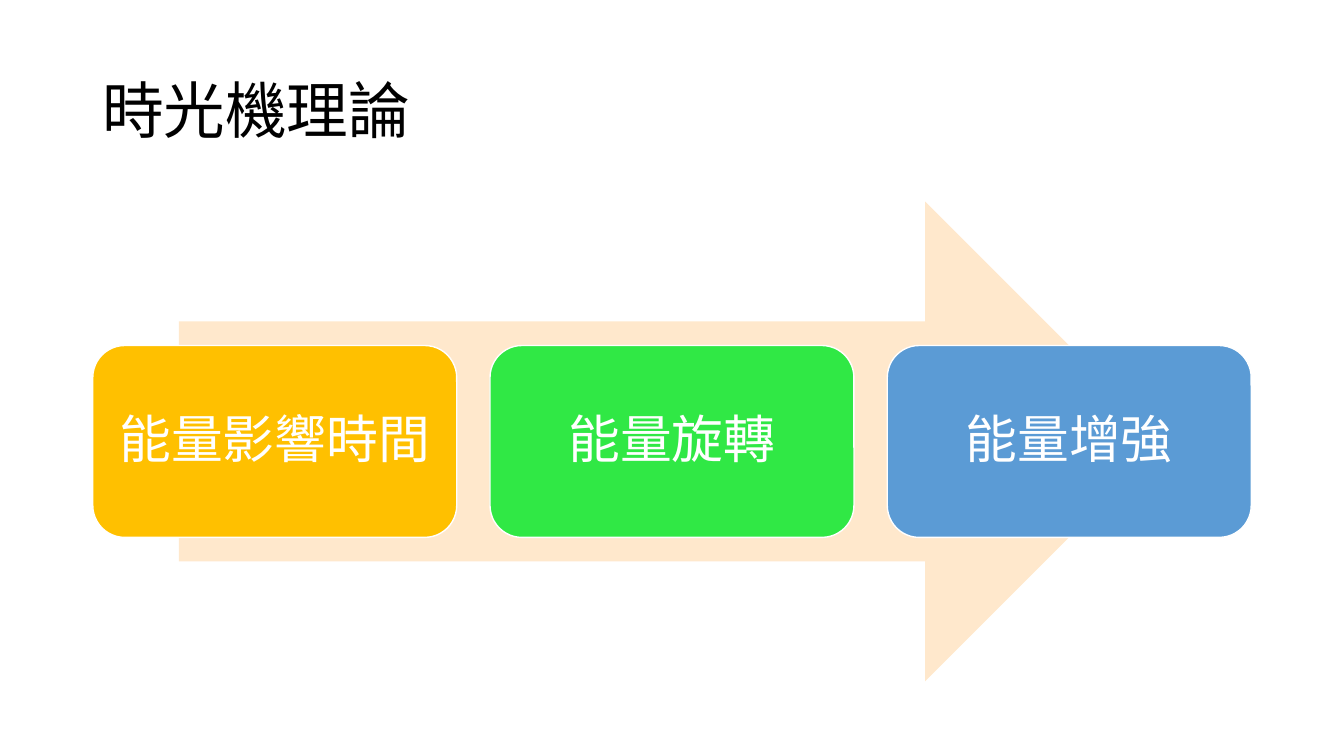
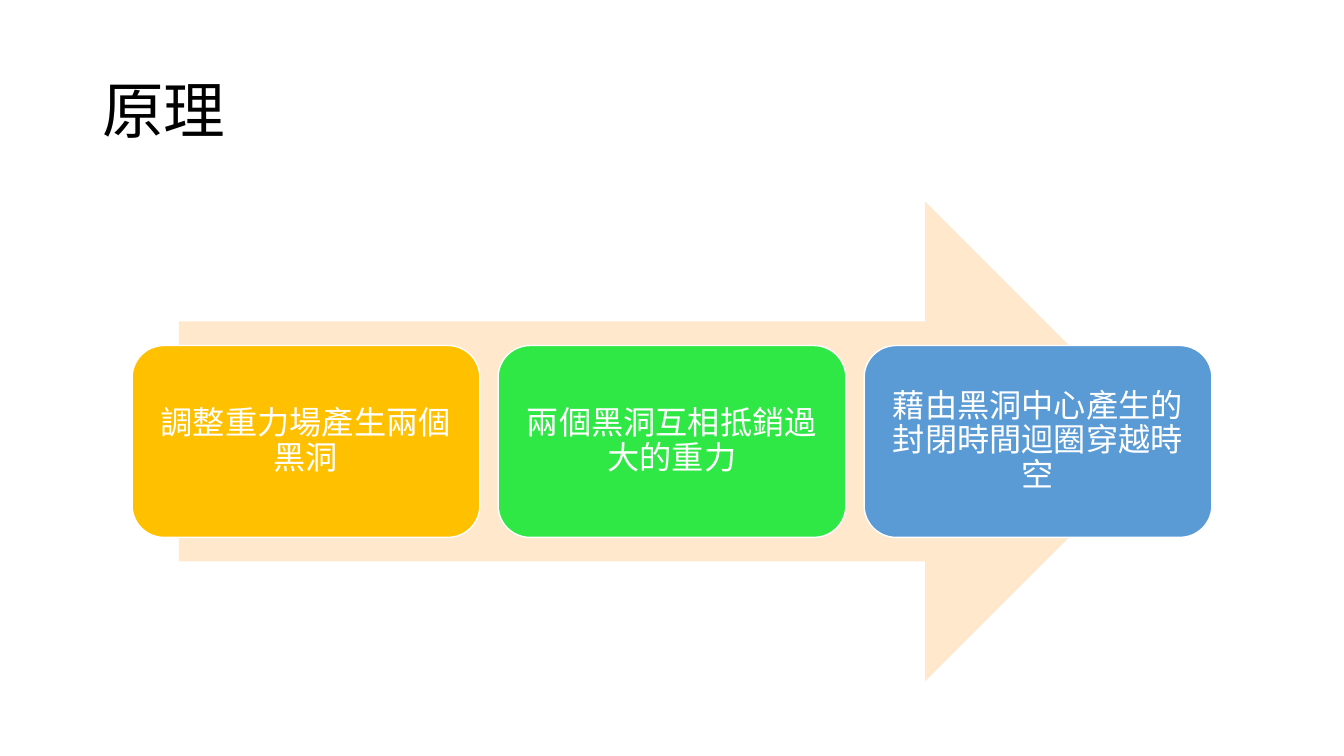
import pptx
import pptx.dml.color
import pptx.enum.shapes
import pptx.enum.text
import pptx.util
import lxml.etree

SLIDES = [
    {"title": "時光機理論",
     "steps": ["能量影響時間", "能量旋轉", "能量增強"],
     "card_width": 3.61, "gap": 0.33, "text_size": 37, "inset": 0.15},
    {"title": "原理",
     "steps": ["調整重力場產生兩個黑洞", "兩個黑洞互相抵銷過大的重力",
               "藉由黑洞中心產生的封閉時間迴圈穿越時空"],
     "card_width": 3.45, "gap": 0.18, "text_size": 23, "inset": 0.1},
]

SLIDE_WIDTH, SLIDE_HEIGHT = 13.33, 7.5
TITLE_TOP, TITLE_WIDTH, TITLE_HEIGHT, TITLE_SIZE = 0.4, 11.5, 1.45, 44
ARROW_WIDTH, ARROW_HEIGHT = 9.78, 4.76
CARD_HEIGHT = ARROW_HEIGHT * 0.4
FLOW_MIDDLE = 4.38

FONT = "Noto Sans CJK SC"
BLACK, WHITE, PEACH = "000000", "FFFFFF", "FFE8CC"
STEP_COLOURS = ["FFC000", "30E845", "5B9BD5"]

SHAPES = pptx.enum.shapes.MSO_SHAPE
ALIGN = pptx.enum.text.PP_ALIGN


def rgb(colour):
    return pptx.dml.color.RGBColor.from_string(colour)


def inches(*lengths):
    return [pptx.util.Inches(length) for length in lengths]


def write(frame, text, size, colour, align):
    frame.word_wrap = True
    frame.vertical_anchor = pptx.enum.text.MSO_ANCHOR.MIDDLE
    paragraph = frame.paragraphs[0]
    paragraph.alignment = align
    paragraph.line_spacing = 0.9
    run = paragraph.add_run()
    run.text = text
    run.font.size = pptx.util.Pt(size)
    run.font.color.rgb = rgb(colour)
    run.font.name = FONT
    east_asian = lxml.etree.SubElement(run._r.get_or_add_rPr(), pptx.oxml.ns.qn("a:ea"))
    east_asian.set("typeface", FONT)


def add_flow_shape(slide, kind, left, width, height, fill):
    """Add a filled shape centred vertically on the flow."""
    shape = slide.shapes.add_shape(
        kind, *inches(left, FLOW_MIDDLE - height / 2, width, height))
    shape.shadow.inherit = False
    shape.fill.solid()
    shape.fill.fore_color.rgb = rgb(fill)
    shape.line.fill.background()
    return shape


def add_title(slide, text):
    title = slide.shapes.add_textbox(
        *inches((SLIDE_WIDTH - TITLE_WIDTH) / 2, TITLE_TOP, TITLE_WIDTH, TITLE_HEIGHT))
    write(title.text_frame, text, TITLE_SIZE, BLACK, ALIGN.LEFT)


def add_card(slide, text, left, fill, content):
    card = add_flow_shape(slide, SHAPES.ROUNDED_RECTANGLE, left,
                          content["card_width"], CARD_HEIGHT, fill)
    card.line.color.rgb = rgb(WHITE)
    card.line.width = pptx.util.Pt(1)
    frame = card.text_frame
    inset = pptx.util.Inches(content["inset"])
    frame.margin_left = frame.margin_right = inset
    frame.margin_top = frame.margin_bottom = inset
    write(frame, text, content["text_size"], WHITE, ALIGN.CENTER)


def add_process(slide, content):
    add_flow_shape(slide, SHAPES.RIGHT_ARROW, (SLIDE_WIDTH - ARROW_WIDTH) / 2,
                   ARROW_WIDTH, ARROW_HEIGHT, PEACH)
    pitch = content["card_width"] + content["gap"]
    row_width = pitch * len(content["steps"]) - content["gap"]
    row_left = (SLIDE_WIDTH - row_width) / 2
    for index, (step, colour) in enumerate(zip(content["steps"], STEP_COLOURS)):
        add_card(slide, step, row_left + index * pitch, colour, content)


def main():
    deck = pptx.Presentation()
    deck.slide_width, deck.slide_height = inches(SLIDE_WIDTH, SLIDE_HEIGHT)
    blank = deck.slide_layouts[6]
    for content in SLIDES:
        slide = deck.slides.add_slide(blank)
        add_title(slide, content["title"])
        add_process(slide, content)
    deck.save("out.pptx")


if __name__ == "__main__":
    main()
